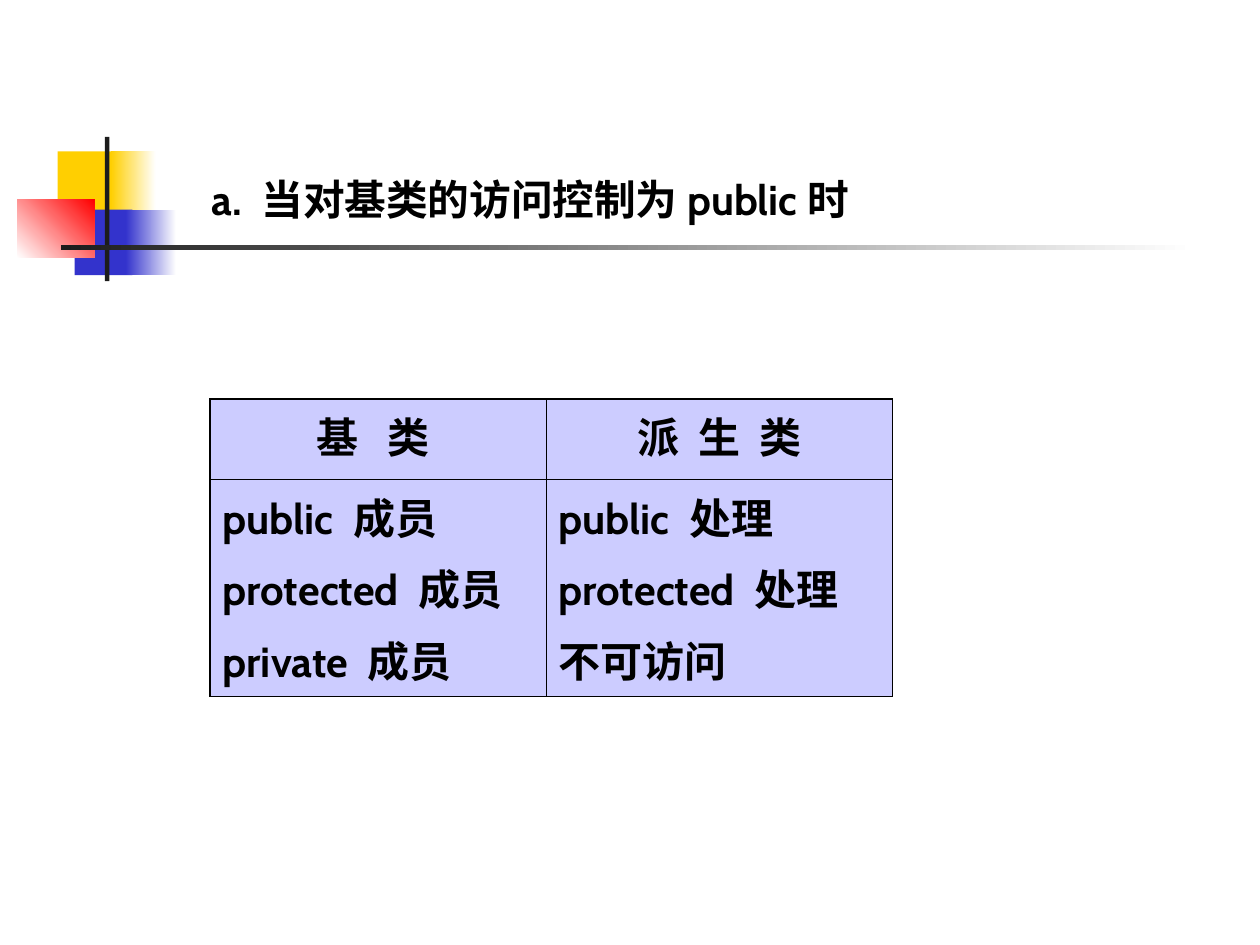
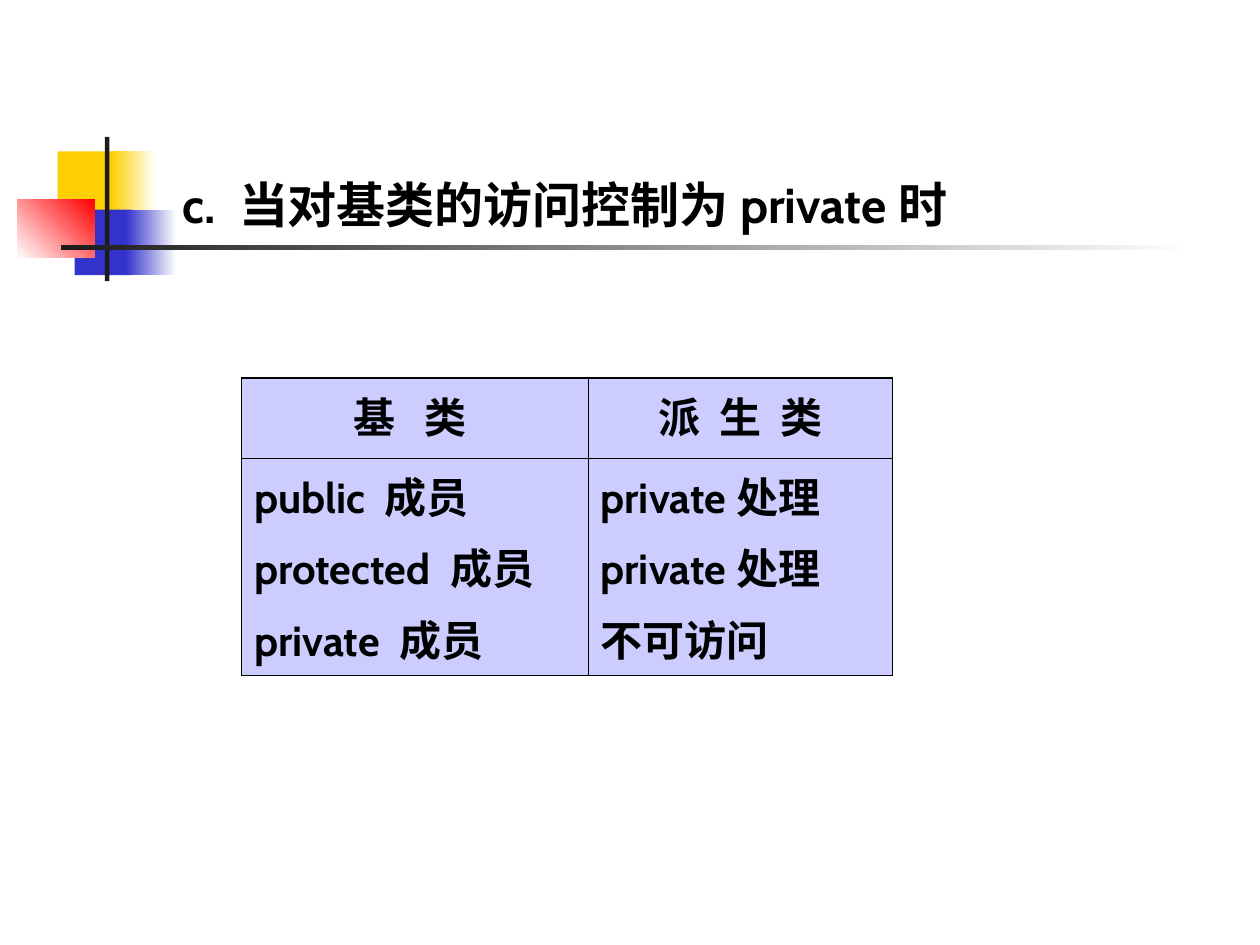
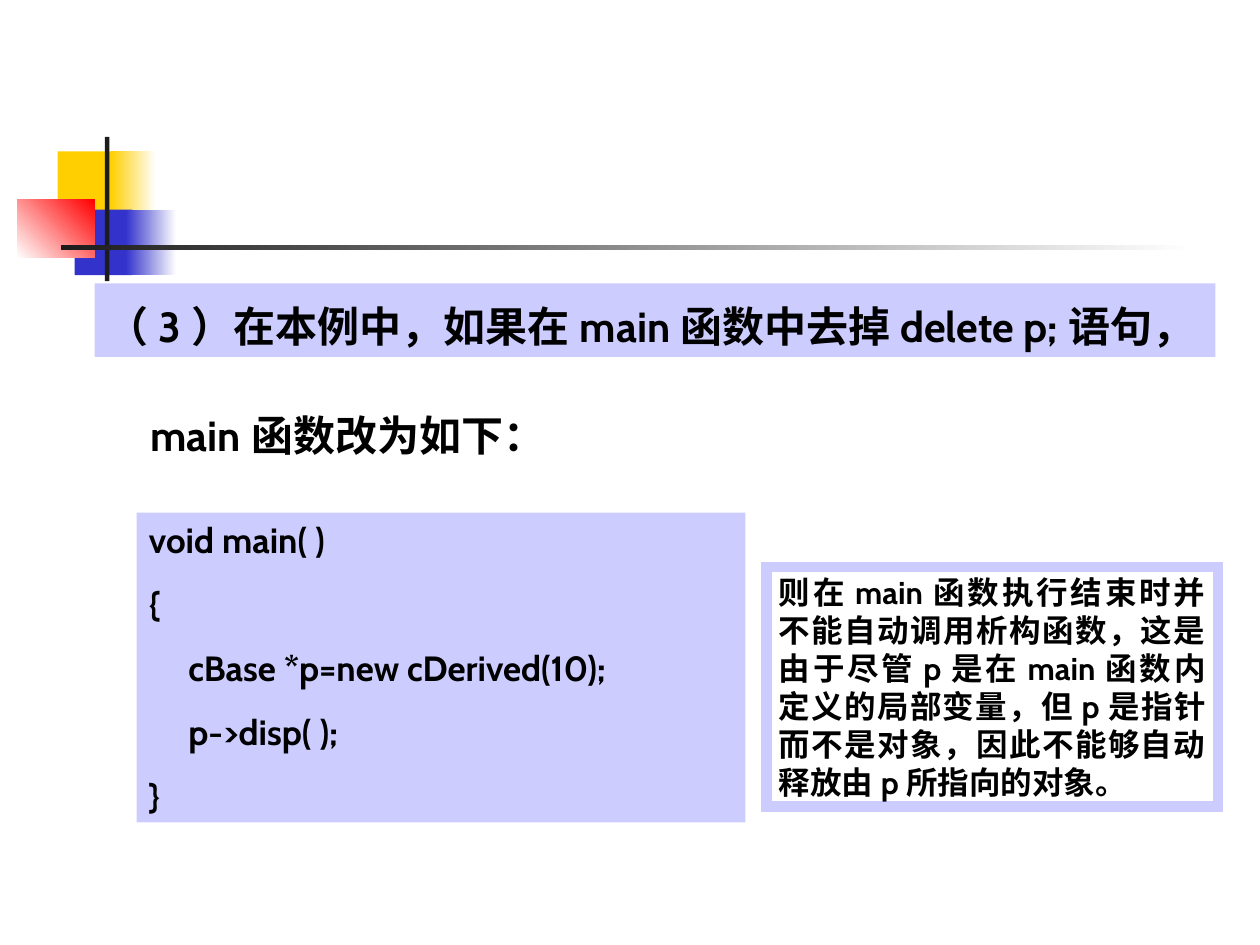
"""Build three slides on C++ inheritance access control and object destruction."""
from dataclasses import dataclass

from pptx import Presentation
from pptx import util as u
from pptx.dml import color as dml
from pptx.enum import shapes, text
from pptx.oxml import xmlchemy as xml

Pt = u.Pt
COLORS = {
    "ink": "000000", "panel": "CCCCFF", "white": "FFFFFF", "yellow": "FFCF01",
    "blue": "3333CC", "red": "FF0000", "bar": "1C1C1C",
}
LATIN, CHINESE, SERIF = "Cabin", "Noto Sans CJK SC", "Times New Roman"
LEFT, CENTER, JUSTIFY = text.PP_ALIGN.LEFT, text.PP_ALIGN.CENTER, text.PP_ALIGN.JUSTIFY
OUTER, INNER = 1.08, 0.45
ROW_HEIGHTS = (46, 124)
MEMBERS = ("public |成员", "protected |成员", "private |成员")


@dataclass(frozen=True)
class Box:
    left: float
    top: float
    width: float
    height: float

    def points(self) -> tuple:
        """Return the four lengths for a python-pptx call."""
        return Pt(self.left), Pt(self.top), Pt(self.width), Pt(self.height)


@dataclass(frozen=True)
class Block:
    box: Box
    color: str
    end_color: str = ""
    angle: int = 0


@dataclass(frozen=True)
class Style:
    size: float
    chinese: str = CHINESE
    align: text.PP_ALIGN = LEFT
    space_before: float = 0
    tracking: float = 0
    line_height: float = 0
    left_indent: float = 0
    right_indent: float = 0


@dataclass(frozen=True)
class AccessSlide:
    title: str
    title_box: Box
    title_style: Style
    table_left: float
    table_top: float
    columns: tuple
    results: tuple


@dataclass(frozen=True)
class Panel:
    box: Box
    lines: tuple
    style: Style
    fill: str = ""
    border: str = ""
    anchor: text.MSO_ANCHOR = text.MSO_ANCHOR.TOP
    wrap: bool = True
    grow: bool = True


DECORATION = (
    Block(Box(33, 86.5, 34.5, 37.5), "yellow"),
    Block(Box(63.5, 86.5, 25.5, 37.5), "yellow", "white"),
    Block(Box(42.7, 119.8, 33, 37.5), "blue"),
    Block(Box(72, 119.8, 28.7, 37.5), "blue", "white"),
    Block(Box(10, 114, 44, 33.3), "white", "red", 45),
    Block(Box(60, 78.2, 2.5, 82.5), "bar"),
    Block(Box(34.8, 140.2, 648, 2.5), "bar", "white"),
)
HEADERS = (
    ("基 类", Style(24, align=CENTER, tracking=5.6, right_indent=5.6)),
    ("派 生 类", Style(24, align=CENTER, tracking=2.75)),
)
ACCESS_SLIDES = (
    AccessSlide("a. |当对基类的访问控制为|public|时", Box(114, 96, 492, 60), Style(23.8),
                120, 228, (192, 198), ("public |处理", "protected |处理", "不可访问")),
    AccessSlide("c. |当对基类的访问控制为|private|时", Box(78, 96, 546, 42),
                Style(28, left_indent=19.5),
                138, 216, (198, 174), ("private|处理", "private|处理", "不可访问")),
)
SENTENCE = Style(24, SERIF, line_height=29)
PANELS = (
    Panel(Box(54, 162, 640.5, 42),
          ("（|3|）在本例中，如果在|main|函数中去掉|delete p;|语句，",),
          SENTENCE, fill="panel", anchor=text.MSO_ANCHOR.BOTTOM, grow=False),
    Panel(Box(78, 293, 348, 177),
          ("void main( )", "{", "     cBase *p=new cDerived(10);", "     p->disp( );", "}"),
          Style(20, align=JUSTIFY, space_before=12.5), fill="panel"),
    Panel(Box(79, 230.5, 249, 36), ("main|函数改为如下：",), SENTENCE, wrap=False),
    Panel(Box(438, 324, 258, 137),
          ("则在|main|函数执行结束时并不能自动调用析构函数，这是由于尽管|p|是在|main|"
           "函数内定义的局部变量，但|p|是指针而不是对象，因此不能够自动释放由|p|所指向的对象。",),
          Style(18, SERIF, JUSTIFY, line_height=21.7), border="panel"),
)


def rgb(name: str) -> dml.RGBColor:
    """Return a named colour."""
    return dml.RGBColor.from_string(COLORS[name])


def write_line(paragraph, line: str, style: Style) -> None:
    """Write one line whose runs are separated by bars."""
    paragraph.alignment = style.align
    if style.line_height:
        paragraph.line_spacing = Pt(style.line_height)
    for side, indent in (("marL", style.left_indent), ("marR", style.right_indent)):
        if indent:
            paragraph._p.get_or_add_pPr().set(side, str(Pt(indent)))
    for part in line.split("|"):
        run = paragraph.add_run()
        run.text = part
        font = run.font
        font.name = LATIN if part.isascii() else style.chinese
        font.size, font.bold = Pt(style.size), True
        font.color.rgb = rgb("ink")
        properties = run._r.get_or_add_rPr()
        east_asian = xml.OxmlElement("a:ea")
        east_asian.set("typeface", CHINESE)
        properties.append(east_asian)
        if style.tracking:
            properties.set("spc", str(round(style.tracking * 100)))


def write_lines(text_frame, lines: tuple, style: Style) -> None:
    """Write one paragraph for each line."""
    for index, line in enumerate(lines):
        paragraph = text_frame.add_paragraph() if index else text_frame.paragraphs[0]
        paragraph.space_before = Pt(style.space_before if index else 0)
        write_line(paragraph, line, style)


def add_rectangle(slide, box: Box):
    """Add a rectangle without shadow."""
    shape = slide.shapes.add_shape(shapes.MSO_SHAPE.RECTANGLE, *box.points())
    shape.shadow.inherit = False
    return shape


def add_block(slide, block: Block) -> None:
    """Draw one solid or fading block."""
    shape = add_rectangle(slide, block.box)
    shape.line.fill.background()
    if not block.end_color:
        shape.fill.solid()
        shape.fill.fore_color.rgb = rgb(block.color)
        return
    shape.fill.gradient()
    shape.fill.gradient_angle = block.angle
    for stop, name, position in zip(shape.fill.gradient_stops, (block.color, block.end_color), (0, 1)):
        stop.color.rgb = rgb(name)
        stop.position = position


def add_decorated_slide(presentation):
    """Add a blank slide with the shared blocks and bars."""
    slide = presentation.slides.add_slide(presentation.slide_layouts[6])
    for block in DECORATION:
        add_block(slide, block)
    return slide


def add_title(slide, access: AccessSlide) -> None:
    """Add the heading above the table."""
    text_frame = slide.shapes.add_textbox(*access.title_box.points()).text_frame
    text_frame.word_wrap = True
    write_lines(text_frame, (access.title,), access.title_style)


def set_borders(cell, widths: dict) -> None:
    """Give each side of a cell a line of the given width."""
    properties = cell._tc.get_or_add_tcPr()
    for side, width in widths.items():
        line = xml.OxmlElement(f"a:ln{side}")
        line.set("w", str(Pt(width)))
        fill = xml.OxmlElement("a:solidFill")
        color = xml.OxmlElement("a:srgbClr")
        color.set("val", COLORS["ink"])
        fill.append(color)
        line.append(fill)
        properties.append(line)


def add_access_table(slide, access: AccessSlide) -> None:
    """Add the table of base class and derived class access."""
    box = Box(access.table_left, access.table_top, sum(access.columns), sum(ROW_HEIGHTS))
    table = slide.shapes.add_table(2, 2, *box.points()).table
    table.first_row = table.horz_banding = False
    for row, height in zip(table.rows, ROW_HEIGHTS):
        row.height = Pt(height)
    body_style = Style(24, space_before=6)
    for index, width in enumerate(access.columns):
        table.columns[index].width = Pt(width)
        header, header_style = HEADERS[index]
        contents = (((header,), header_style), ((MEMBERS, access.results)[index], body_style))
        for row_index, (lines, style) in enumerate(contents):
            cell = table.cell(row_index, index)
            set_borders(cell, {
                "L": INNER if index else OUTER, "R": OUTER if index else INNER,
                "T": INNER if row_index else OUTER, "B": OUTER if row_index else INNER,
            })
            cell.fill.solid()
            cell.fill.fore_color.rgb = rgb("panel")
            write_lines(cell.text_frame, lines, style)


def add_panel(slide, panel: Panel) -> None:
    """Add a text panel with an optional fill and border."""
    if panel.fill or panel.border:
        shape = add_rectangle(slide, panel.box)
    else:
        shape = slide.shapes.add_textbox(*panel.box.points())
    if panel.fill:
        shape.fill.solid()
        shape.fill.fore_color.rgb = rgb(panel.fill)
    else:
        shape.fill.background()
    if panel.border:
        shape.line.color.rgb = rgb(panel.border)
        shape.line.width = Pt(6)
        corner = xml.OxmlElement("a:miter")
        corner.set("lim", "800000")
        shape.line._get_or_add_ln().append(corner)
    else:
        shape.line.fill.background()
    text_frame = shape.text_frame
    text_frame.word_wrap = panel.wrap
    text_frame.vertical_anchor = panel.anchor
    if panel.grow:
        text_frame.auto_size = text.MSO_AUTO_SIZE.SHAPE_TO_FIT_TEXT
    write_lines(text_frame, panel.lines, panel.style)


def main() -> None:
    """Build and save the presentation."""
    presentation = Presentation()
    presentation.slide_width, presentation.slide_height = Pt(720), Pt(540)
    for access in ACCESS_SLIDES:
        slide = add_decorated_slide(presentation)
        add_title(slide, access)
        add_access_table(slide, access)
    slide = add_decorated_slide(presentation)
    for panel in PANELS:
        add_panel(slide, panel)
    presentation.save("out.pptx")


if __name__ == "__main__":
    main()
